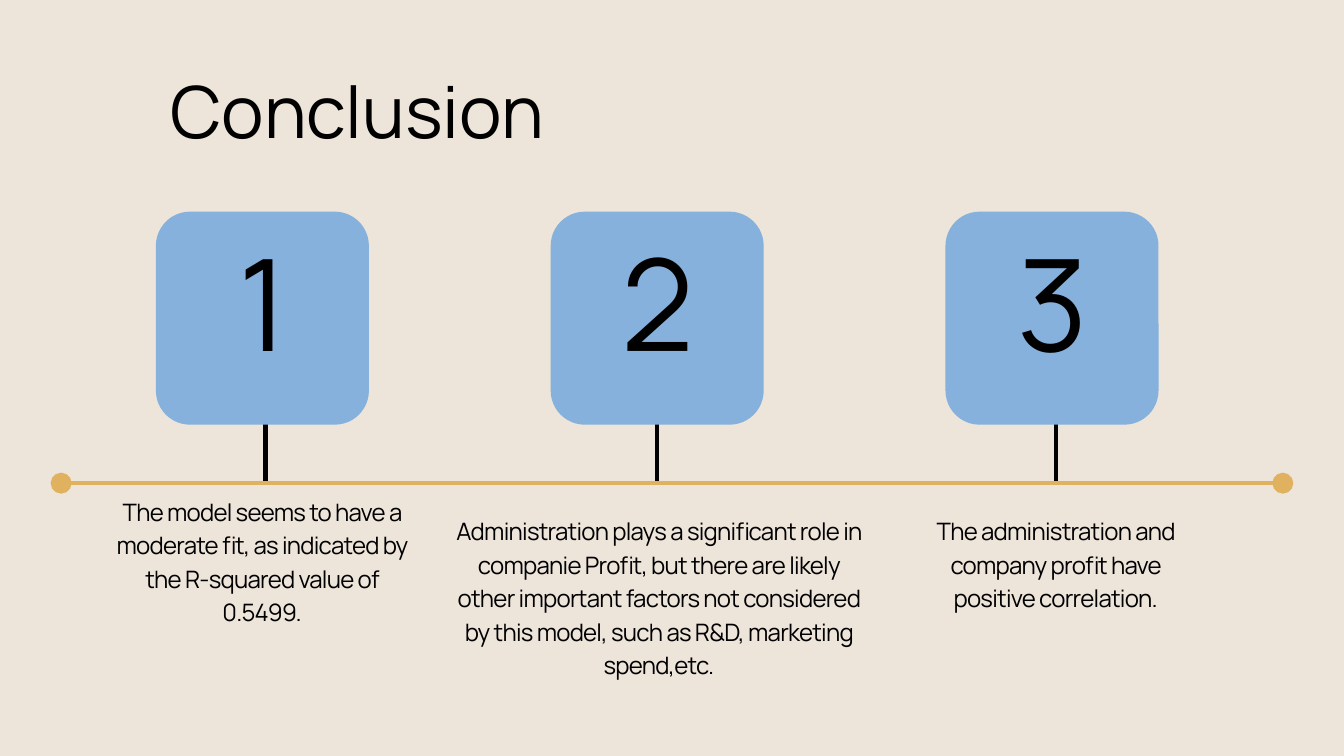
from lxml import etree
from pptx import Presentation
from pptx.dml.color import RGBColor
from pptx.enum.shapes import MSO_CONNECTOR, MSO_SHAPE
from pptx.enum.text import MSO_ANCHOR, PP_ALIGN
from pptx.oxml.ns import qn
from pptx.util import Inches, Pt

CREAM = RGBColor(0xED, 0xE4, 0xDA)
BLUE = RGBColor(0x85, 0xB1, 0xDC)
GOLD = RGBColor(0xE0, 0xB1, 0x5E)
BLACK = RGBColor(0, 0, 0)
FONT = "Manrope"

CARD_SIZE = 3.17
CARD_TOP = 3.15
FIRST_CARD_LEFT = 2.32
CARD_STEP = 5.875

FINDINGS = [
    ("The model seems to have a moderate fit, as indicated by the "
     "R-squared value of 0.5499.", 3.95, (1.71, 7.33, 4.38, 2.46)),
    ("Administration plays a significant role in companie Profit, but there "
     "are likely other important factors not considered by this model, such "
     "as R&D, marketing spend,etc.", 9.78, (6.72, 7.62, 6.17, 2.46)),
    ("The administration and company profit have positive correlation.",
     15.71, (13.52, 7.62, 4.38, 1.48)),
]


def write(frame, text, size, leading, align, tracking=None):
    frame.word_wrap = True
    frame.vertical_anchor = MSO_ANCHOR.TOP
    frame.margin_left = frame.margin_right = 0
    frame.margin_top = frame.margin_bottom = 0
    paragraph = frame.paragraphs[0]
    paragraph.alignment = align
    paragraph.line_spacing = Pt(leading)
    paragraph.space_before = Pt(0)
    run = paragraph.add_run()
    run.text = text
    run.font.name = FONT
    run.font.size = Pt(size)
    run.font.color.rgb = BLACK
    if tracking is not None:
        run.font._element.set("spc", str(round(tracking * 100)))


def add_title(slide, box):
    title = slide.shapes.title
    title.left, title.top, title.width, title.height = map(Inches, box)
    write(title.text_frame, "Conclusion", 77, 78.5, PP_ALIGN.RIGHT)


def add_text(slide, box, *style):
    textbox = slide.shapes.add_textbox(*map(Inches, box))
    write(textbox.text_frame, *style)


def add_line(slide, start, end, color):
    line = slide.shapes.add_connector(
        MSO_CONNECTOR.STRAIGHT, *map(Inches, start + end))
    line.line.color.rgb = color
    line.line.width = Pt(4.5)
    etree.SubElement(line._element.spPr, qn("a:effectLst"))
    return line


def add_timeline(slide, left, right, y):
    axis = add_line(slide, (left, y), (right, y), GOLD)
    for end in ("a:headEnd", "a:tailEnd"):
        etree.SubElement(axis.line._get_or_add_ln(), qn(end),
                         type="oval", w="lg", len="lg")


def add_card(slide, number, left, top, size):
    card = slide.shapes.add_shape(
        MSO_SHAPE.ROUNDED_RECTANGLE, *map(Inches, (left, top, size, size)))
    card.adjustments[0] = 0.16
    card.shadow.inherit = False
    card.fill.solid()
    card.fill.fore_color.rgb = BLUE
    card.line.fill.background()
    add_text(slide, (left + 0.07, top + 0.37, 3.05, 2.27),
             str(number), 136.6, 150.2, PP_ALIGN.CENTER)


def build_conclusion(prs):
    slide = prs.slides.add_slide(prs.slide_layouts[5])
    slide.background.fill.solid()
    slide.background.fill.fore_color.rgb = CREAM
    add_title(slide, (0.91, 1.18, 7.2, 1.22))
    for _, stem_x, _ in FINDINGS:
        add_line(slide, (stem_x, 5.9), (stem_x, 7.22), BLACK)
    add_timeline(slide, 0.91, 19.09, 7.19)
    for index, (finding, _, box) in enumerate(FINDINGS):
        add_card(slide, index + 1, FIRST_CARD_LEFT + index * CARD_STEP,
                 CARD_TOP, CARD_SIZE)
        add_text(slide, box, finding, 25.7, 35.9, PP_ALIGN.CENTER, -0.8)


def main():
    prs = Presentation()
    prs.slide_width = Inches(20)
    prs.slide_height = Inches(11.25)
    build_conclusion(prs)
    prs.save("out.pptx")


if __name__ == "__main__":
    main()
